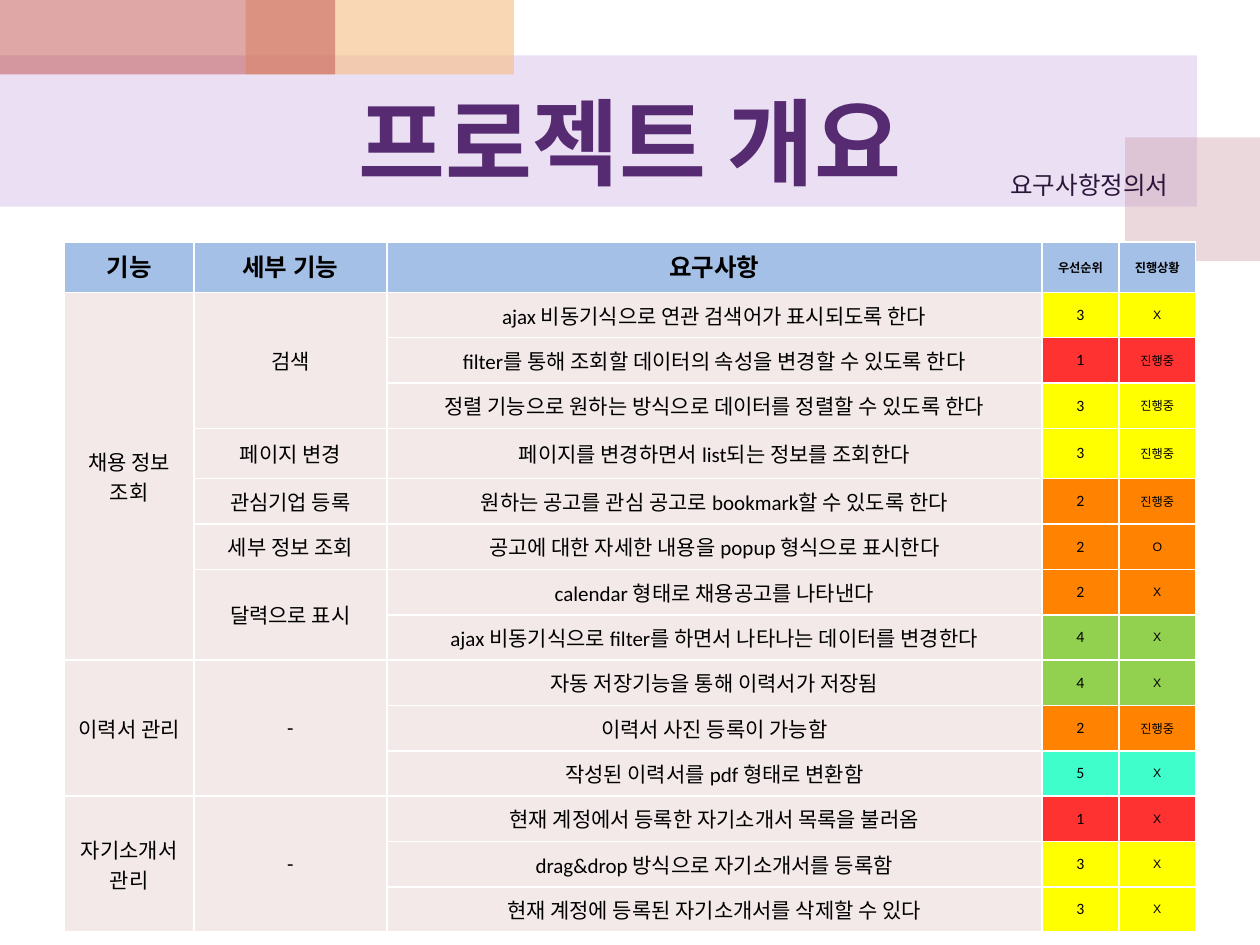
from dataclasses import dataclass
from lxml.etree import SubElement
from pptx import Presentation
from pptx.dml.color import RGBColor
from pptx.enum.shapes import MSO_SHAPE
from pptx.enum.text import MSO_ANCHOR, PP_ALIGN
from pptx.oxml import parse_xml
from pptx.oxml.ns import nsdecls, qn
from pptx.util import Inches, Pt


@dataclass(frozen=True)
class Theme:
    korean: str = "Noto Sans CJK KR"
    body: str = "Calibri"
    status: str = "Arial"
    title_color: str = "562B71"
    subtitle_color: str = "2B1639"
    black: str = "000000"
    border: str = "FFFFFF"
    header_fill: str = "A5C0E6"
    body_fill: str = "F4E9E9"
    priority_fills: tuple = ("FF3232", "FF8200", "FFFF00", "92D050", "40FECC")
    title_size: int = 54
    heading_size: int = 14
    body_size: int = 12
    priority_size: int = 9
    small_size: int = 7


class SlideBuilder:
    def __init__(self, slide, theme):
        self.slide = slide
        self.theme = theme

    def band(self, left, top, width, height, color, opacity):
        band = self.slide.shapes.add_shape(
            MSO_SHAPE.RECTANGLE, Inches(left), Inches(top), Inches(width), Inches(height))
        band.shadow.inherit = False
        band.line.fill.background()
        band.fill.solid()
        band.fill.fore_color.rgb = RGBColor.from_string(color)
        color_node = band._element.spPr.find(qn("a:solidFill"))[0]
        SubElement(color_node, qn("a:alpha")).set("val", str(opacity * 1000))

    def add_span(self, frame, text, size, font, color, bold=False, align=PP_ALIGN.CENTER):
        para = frame.paragraphs[0]
        para.alignment = align
        span = para.add_run()
        span.text = text
        span.font.size = Pt(size)
        span.font.bold = bold
        span.font.color.rgb = RGBColor.from_string(color)
        span.font.name = font
        latin = span._r.rPr.find(qn("a:latin"))
        latin.addnext(parse_xml(f'<a:ea {nsdecls("a")} typeface="{self.theme.korean}"/>'))

    def text(self, left, top, width, height, text, size, font, color,
             bold=False, align=PP_ALIGN.CENTER, anchor=MSO_ANCHOR.TOP, wrap=True):
        box = self.slide.shapes.add_textbox(
            Inches(left), Inches(top), Inches(width), Inches(height))
        frame = box.text_frame
        frame.word_wrap = wrap
        frame.vertical_anchor = anchor
        self.add_span(frame, text, size, font, color, bold, align)

    def table(self, left, top, widths, heights):
        table = self.slide.shapes.add_table(
            len(heights), len(widths), Inches(left), Inches(top),
            Inches(sum(widths)), Inches(sum(heights))).table
        table.first_row = False
        table.horz_banding = False
        for column, width in zip(table.columns, widths):
            column.width = Inches(width)
        for row, height in zip(table.rows, heights):
            row.height = Inches(height)
        for cell in table.iter_cells():
            self.borders(cell)
        return table

    def borders(self, cell):
        properties = cell._tc.get_or_add_tcPr()
        for position, side in enumerate(("lnL", "lnR", "lnT", "lnB")):
            properties.insert(position, parse_xml(
                f'<a:{side} {nsdecls("a")} w="12700"><a:solidFill>'
                f'<a:srgbClr val="{self.theme.border}"/></a:solidFill></a:{side}>'))

    def cell(self, cell, text, size, font, fill, bold=False,
             anchor=MSO_ANCHOR.MIDDLE, inset=0.05):
        cell.fill.solid()
        cell.fill.fore_color.rgb = RGBColor.from_string(fill)
        cell.vertical_anchor = anchor
        cell.margin_left = cell.margin_right = Inches(inset)
        cell.margin_top = cell.margin_bottom = Inches(inset)
        self.add_span(cell.text_frame, text, size, font, self.theme.black, bold)

    def body_cell(self, table, row, column, text, rows=1):
        cell = table.cell(row, column)
        if rows > 1:
            cell.merge(table.cell(row + rows - 1, column))
        self.cell(cell, text, self.theme.body_size, self.theme.body, self.theme.body_fill)


BANDS = [
    (0, 0.44, 9.5, 1.2, "BF98D8", 30),
    (8.93, 1.09, 1.07, 0.98, "CC9EAC", 40),
    (1.95, 0, 2.13, 0.59, "F5BC83", 60),
    (0, 0, 2.66, 0.59, "C0504D", 50),
]
HEADINGS = ["기능", "세부 기능", "요구사항", "우선순위", "진행상황"]
WAITING, ONGOING, DONE = "X", "진행중", "O"
FEATURES = [
    ("채용 정보 조회", [
        ("검색", [
            ("ajax 비동기식으로 연관 검색어가 표시되도록 한다", 3, WAITING),
            ("filter를 통해 조회할 데이터의 속성을 변경할 수 있도록 한다", 1, ONGOING),
            ("정렬 기능으로 원하는 방식으로 데이터를 정렬할 수 있도록 한다", 3, ONGOING)]),
        ("페이지 변경", [("페이지를 변경하면서 list되는 정보를 조회한다", 3, ONGOING)]),
        ("관심기업 등록", [("원하는 공고를 관심 공고로 bookmark할 수 있도록 한다", 2, ONGOING)]),
        ("세부 정보 조회", [("공고에 대한 자세한 내용을 popup 형식으로 표시한다", 2, DONE)]),
        ("달력으로 표시", [
            ("calendar 형태로 채용공고를 나타낸다", 2, WAITING),
            ("ajax 비동기식으로 filter를 하면서 나타나는 데이터를 변경한다", 4, WAITING)])]),
    ("이력서 관리", [
        ("-", [
            ("자동 저장기능을 통해 이력서가 저장됨", 4, WAITING),
            ("이력서 사진 등록이 가능함", 2, ONGOING),
            ("작성된 이력서를 pdf 형태로 변환함", 5, WAITING)])]),
    ("자기소개서 관리", [
        ("-", [
            ("현재 계정에서 등록한 자기소개서 목록을 불러옴", 1, WAITING),
            ("drag&drop 방식으로 자기소개서를 등록함", 3, WAITING),
            ("현재 계정에 등록된 자기소개서를 삭제할 수 있다", 3, WAITING)])]),
]

theme = Theme()
deck = Presentation()
deck.slide_width, deck.slide_height = Inches(10), Inches(7.5)
page = SlideBuilder(deck.slides.add_slide(deck.slide_layouts[6]), theme)

for band in BANDS:
    page.band(*band)

row_heights = [0.4 if row in (0, 4) else 0.36 for row in range(15)]
table = page.table(0.51, 1.92, [1.03, 1.53, 5.2, 0.61, 0.61], row_heights)

for column, heading in enumerate(HEADINGS):
    narrow = column > 2
    page.cell(table.cell(0, column), heading,
              theme.small_size if narrow else theme.heading_size,
              theme.korean, theme.header_fill, bold=True,
              anchor=MSO_ANCHOR.MIDDLE if narrow else MSO_ANCHOR.TOP)

row = 1
for feature, details in FEATURES:
    page.body_cell(table, row, 0, feature, sum(len(items) for _, items in details))
    for detail, items in details:
        page.body_cell(table, row, 1, detail, len(items))
        for requirement, priority, status in items:
            fill = theme.priority_fills[priority - 1]
            page.body_cell(table, row, 2, requirement)
            page.cell(table.cell(row, 3), str(priority), theme.priority_size, theme.body, fill)
            page.cell(table.cell(row, 4), status, theme.small_size, theme.status, fill, inset=0.07)
            row += 1

page.text(0.5, 0.59, 9, 1.05, "프로젝트 개요", theme.title_size, theme.korean,
          theme.title_color, bold=True, anchor=MSO_ANCHOR.MIDDLE)
page.text(7.92, 1.3, 1.58, 0.34, "요구사항정의서", theme.heading_size, theme.body,
          theme.subtitle_color, align=PP_ALIGN.LEFT, wrap=False)

deck.save("out.pptx")
